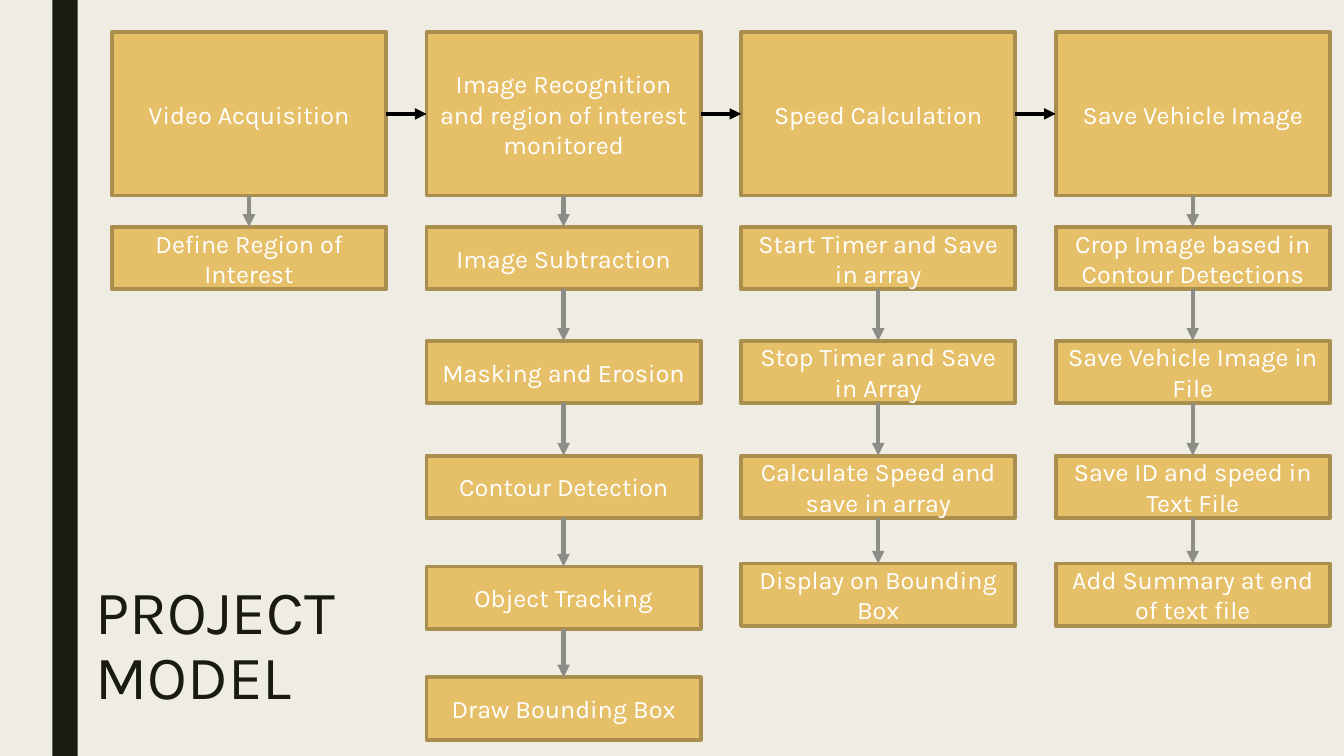
from itertools import pairwise

from lxml import etree
from pptx import Presentation
from pptx import util as u
from pptx.dml.color import RGBColor
from pptx.enum import shapes, text
from pptx.oxml.ns import qn

PAPER = RGBColor(0xEF, 0xED, 0xE3)
INK = RGBColor(0x19, 0x1B, 0x0E)
GOLD = RGBColor(0xE6, 0xC0, 0x69)
BRONZE = RGBColor(0xAA, 0x8E, 0x4E)
GREY = RGBColor(0x8C, 0x8D, 0x86)
BLACK = RGBColor(0, 0, 0)
WHITE = RGBColor(0xFF, 0xFF, 0xFF)
FONT = "Karla"

PAGE_WIDTH, PAGE_HEIGHT = 13.33, 7.5
FIRST_COLUMN, COLUMN_PITCH, BOX_WIDTH = 1.11, 3.12, 2.72
STAGE_TOP, STAGE_HEIGHT, STEP_HEIGHT = 0.32, 1.62, 0.62
LONG_ROWS = (2.25, 3.38, 4.52, 5.62, 6.72)
SHORT_ROWS = (2.25, 3.38, 4.52, 5.59)

STAGES = [
    ("Video Acquisition", True, SHORT_ROWS, ["Define Region of Interest"]),
    ("Image Recognition and region of interest monitored", True, LONG_ROWS,
     ["Image Subtraction", "Masking and Erosion", "Contour Detection",
      "Object Tracking", "Draw Bounding Box"]),
    ("Speed Calculation", False, SHORT_ROWS,
     ["Start Timer and Save in array", "Stop Timer and Save in Array",
      "Calculate Speed and save in array", "Display on Bounding Box"]),
    ("Save Vehicle Image", True, SHORT_ROWS,
     ["Crop Image based in Contour Detections", "Save Vehicle Image in File",
      "Save ID and speed in Text File", "Add Summary at end of text file"]),
]


def add_span(para, words, size, color):
    span = para.add_run()
    span.text = words
    span.font.name = FONT
    span.font.size = u.Pt(size)
    span.font.color.rgb = color


def add_rectangle(page, left, top, width, height, fill):
    box = page.shapes.add_shape(shapes.MSO_SHAPE.RECTANGLE, u.Inches(left),
                                u.Inches(top), u.Inches(width), u.Inches(height))
    box.shadow.inherit = False
    box.fill.solid()
    box.fill.fore_color.rgb = fill
    box.line.fill.background()
    return box


def add_label_box(page, left, top, height, words):
    box = add_rectangle(page, left, top, BOX_WIDTH, height, GOLD)
    box.line.color.rgb = BRONZE
    box.line.width = u.Pt(2.75)
    frame = box.text_frame
    frame.word_wrap = True
    frame.vertical_anchor = text.MSO_ANCHOR.MIDDLE
    para = frame.paragraphs[0]
    para.alignment = text.PP_ALIGN.CENTER
    add_span(para, words, 18, WHITE)


def add_arrow(page, start, end, color, weight):
    arrow = page.shapes.add_connector(
        shapes.MSO_CONNECTOR.STRAIGHT, *(u.Inches(value) for value in start + end))
    arrow.line.color.rgb = color
    arrow.line.width = u.Pt(weight)
    outline = arrow.line._get_or_add_ln()
    etree.SubElement(outline, qn("a:tailEnd"), type="triangle")
    etree.SubElement(outline.getparent(), qn("a:effectLst"))


def add_stage(page, left, heading, linked, rows, steps):
    add_label_box(page, left, STAGE_TOP, STAGE_HEIGHT, heading)
    center = left + BOX_WIDTH / 2
    tops = rows[:len(steps)]
    for top, step in zip(tops, steps):
        add_label_box(page, left, top, STEP_HEIGHT, step)
    gaps = [(top + STEP_HEIGHT, following) for top, following in pairwise(tops)]
    if linked:
        gaps.insert(0, (STAGE_TOP + STAGE_HEIGHT, tops[0]))
    for start, end in gaps:
        add_arrow(page, (center, start), (center, end), GREY, 3)


def add_flow(page):
    lefts = [FIRST_COLUMN + index * COLUMN_PITCH for index in range(len(STAGES))]
    for left, stage in zip(lefts, STAGES):
        add_stage(page, left, *stage)
    middle = STAGE_TOP + STAGE_HEIGHT / 2
    for left, following in pairwise(lefts):
        add_arrow(page, (left + BOX_WIDTH, middle), (following, middle), BLACK, 2.75)


def add_title(page, left, top, width, height):
    box = page.shapes.add_textbox(u.Inches(left), u.Inches(top),
                                  u.Inches(width), u.Inches(height))
    box.text_frame.word_wrap = True
    para = box.text_frame.paragraphs[0]
    para.line_spacing = 0.89
    add_span(para, "PROJECT", 44, INK)
    para.add_line_break()
    add_span(para, "MODEL", 44, INK)


def main():
    deck = Presentation()
    deck.slide_width = u.Inches(PAGE_WIDTH)
    deck.slide_height = u.Inches(PAGE_HEIGHT)
    page = deck.slides.add_slide(deck.slide_layouts[6])
    page.background.fill.solid()
    page.background.fill.fore_color.rgb = PAPER
    add_rectangle(page, 0.52, 0, 0.25, PAGE_HEIGHT, INK)
    add_title(page, 0.85, 5.72, 10.5, 1.62)
    add_flow(page)
    deck.save("out.pptx")


if __name__ == "__main__":
    main()
